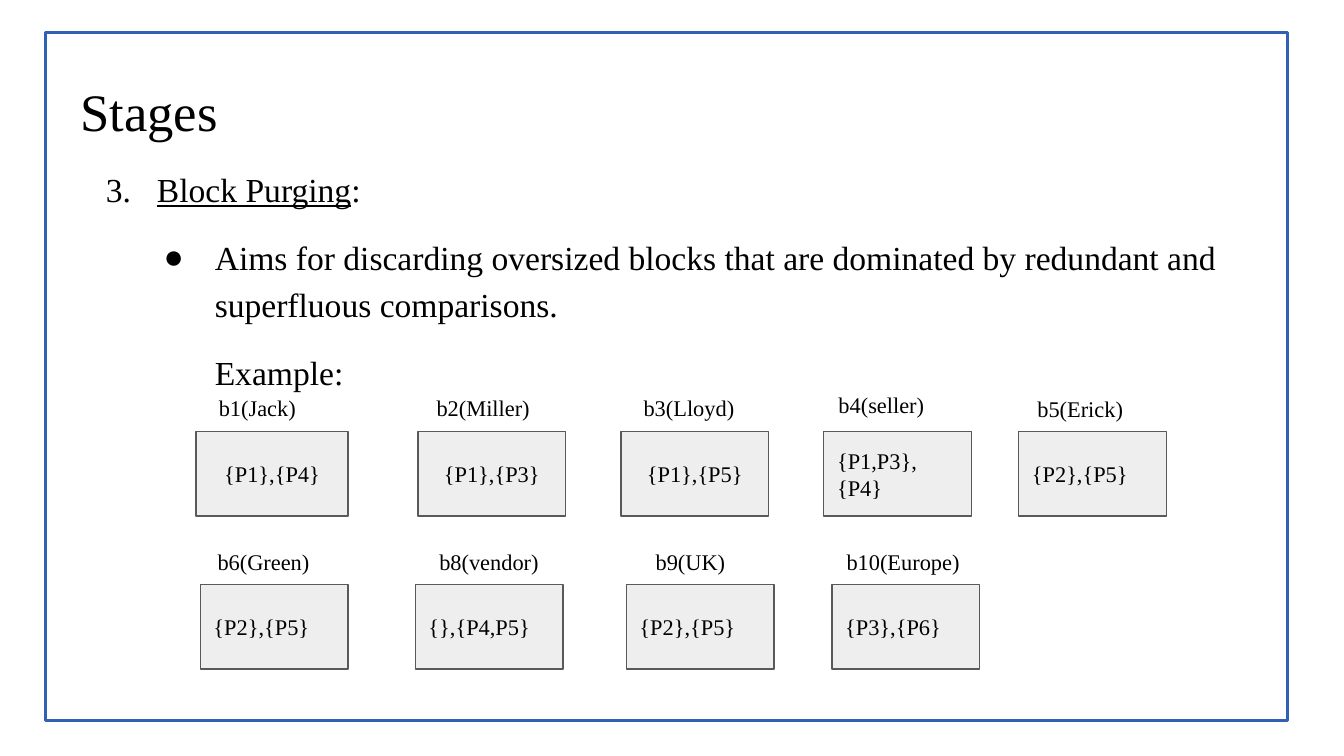
"""Build the block purging slide with its example blocks."""
from dataclasses import dataclass

from lxml import etree
from pptx import Presentation
from pptx.dml.color import RGBColor
from pptx.enum.shapes import MSO_SHAPE
from pptx.enum.text import MSO_ANCHOR, PP_ALIGN
from pptx.oxml.ns import qn
from pptx.util import Inches, Pt

RECTANGLE = MSO_SHAPE.RECTANGLE
TOP, MIDDLE = MSO_ANCHOR.TOP, MSO_ANCHOR.MIDDLE
LEFT, CENTER = PP_ALIGN.LEFT, PP_ALIGN.CENTER

SLIDE_WIDTH = Inches(10)
SLIDE_HEIGHT = SLIDE_WIDTH * 9 // 16
CELL = SLIDE_WIDTH / 100
BOX_WIDTH, BOX_HEIGHT = 11, 6.3
LABEL_WIDTH, LABEL_HEIGHT = 10.8, 4


@dataclass(frozen=True)
class Theme:
    font: str = "Times New Roman"
    text: RGBColor = RGBColor(0, 0, 0)
    box_fill: RGBColor = RGBColor(0xEE, 0xEE, 0xEE)
    box_line: RGBColor = RGBColor(0x59, 0x59, 0x59)
    frame_line: RGBColor = RGBColor(0x30, 0x61, 0xB2)
    title_size: float = 28.2
    body_size: float = 18
    block_size: float = 12
    box_line_width: float = 0.75
    frame_line_width: float = 1.5


THEME = Theme()

BLOCK_ROWS = [
    (32.1, [
        ("b1(Jack)", ["{P1},{P4}"], 14.6, 15.3, 28.3, CENTER, 11.3),
        ("b2(Miller)", ["{P1},{P3}"], 31.1, 31.5, 28.3, CENTER),
        ("b3(Lloyd)", ["{P1},{P5}"], 46.2, 46.9, 28.3, CENTER),
        ("b4(seller)", ["{P1,P3},", "{P4}"], 61.3, 61.4, 28.1, LEFT),
        ("b5(Erick)", ["{P2},{P5}"], 75.8, 76.2, 28.4, LEFT),
    ]),
    (43.5, [
        ("b6(Green)", ["{P2},{P5}"], 14.9, 15.2, 39.8, LEFT),
        ("b8(vendor)", ["{},{P4,P5}"], 30.9, 31.7, 39.8, LEFT),
        ("b9(UK)", ["{P2},{P5}"], 46.6, 47.8, 39.8, LEFT),
        ("b10(Europe)", ["{P3},{P6}"], 61.9, 62, 39.8, LEFT),
    ]),
]


def grid(*cells):
    """Turn counts of grid cells into slide lengths."""
    return [round(cell * CELL) for cell in cells]


def style_paragraph(paragraph, size, alignment=LEFT):
    """Give a paragraph the theme font, a size and an alignment."""
    paragraph.alignment = alignment
    paragraph.font.name = THEME.font
    paragraph.font.size = Pt(size)
    paragraph.font.color.rgb = THEME.text


def write_lines(shape, lines, size, alignment=LEFT, anchor=TOP):
    """Write one paragraph per line into a shape and return its paragraphs."""
    frame = shape.text_frame
    frame.word_wrap = True
    frame.vertical_anchor = anchor
    frame.margin_left, frame.margin_top, frame.margin_right, frame.margin_bottom = grid(1, 1, 1, 1)
    frame.text = "\n".join(lines)
    for paragraph in frame.paragraphs:
        style_paragraph(paragraph, size, alignment)
    return frame.paragraphs


def add_text(slide, cells, lines, size):
    """Add a text box and return its paragraphs."""
    return write_lines(slide.shapes.add_textbox(*grid(*cells)), lines, size)


def add_rectangle(slide, cells, line_color, line_width, fill_color=None):
    """Add an outlined rectangle, filled when a colour is given."""
    shape = slide.shapes.add_shape(RECTANGLE, *grid(*cells))
    shape.shadow.inherit = False
    shape.line.color.rgb = line_color
    shape.line.width = Pt(line_width)
    if fill_color is None:
        shape.fill.background()
    else:
        shape.fill.solid()
        shape.fill.fore_color.rgb = fill_color
    return shape


def set_indent(paragraph, margin, hanging=0, bullet=None):
    """Indent a paragraph and give it a bullet when one is named."""
    properties = paragraph._p.get_or_add_pPr()
    properties.set("marL", str(Inches(margin)))
    properties.set("indent", str(-Inches(hanging)))
    if bullet:
        etree.SubElement(properties, qn("a:buFont"), typeface=THEME.font)
        etree.SubElement(properties, qn("a:buChar"), char=bullet)


def add_body(slide):
    """Add the numbered stage, its bullet and the example heading."""
    stage, aim, example = add_text(slide, (5, 11.1, 91.6, 42), [
        "3.\t",
        "Aims for discarding oversized blocks that are dominated by redundant and "
        "superfluous comparisons.",
        "Example:",
    ], THEME.body_size)
    name = stage.add_run()
    name.text = "Block Purging"
    name.font.underline = True
    stage.add_run().text = ":"
    for paragraph in (stage, aim, example):
        paragraph.line_spacing = 1.15
    for paragraph in (aim, example):
        paragraph.space_before = Pt(12)
    example.space_after = Pt(12)
    set_indent(stage, 0.57, 0.38)
    set_indent(aim, 1, 0.38, "●")
    set_indent(example, 1)


def add_block(slide, top, label, lines, box_left, label_left, label_top, alignment,
              box_width=BOX_WIDTH):
    """Add one block: its box with entities and the label above."""
    box = add_rectangle(slide, (box_left, top, box_width, BOX_HEIGHT),
                        THEME.box_line, THEME.box_line_width, THEME.box_fill)
    write_lines(box, lines, THEME.block_size, alignment, MIDDLE)
    add_text(slide, (label_left, label_top, LABEL_WIDTH, LABEL_HEIGHT),
             [label], THEME.block_size)


def main():
    """Build and save the slide."""
    presentation = Presentation()
    presentation.slide_width, presentation.slide_height = SLIDE_WIDTH, SLIDE_HEIGHT
    slide = presentation.slides.add_slide(presentation.slide_layouts[6])
    add_text(slide, (5, 4.9, 91.6, 6.3), ["Stages"], THEME.title_size)
    add_body(slide)
    for top, blocks in BLOCK_ROWS:
        for block in blocks:
            add_block(slide, top, *block)
    add_rectangle(slide, (3.4, 2.4, 92.4, 51.2), THEME.frame_line, THEME.frame_line_width)
    presentation.save("out.pptx")


if __name__ == "__main__":
    main()
